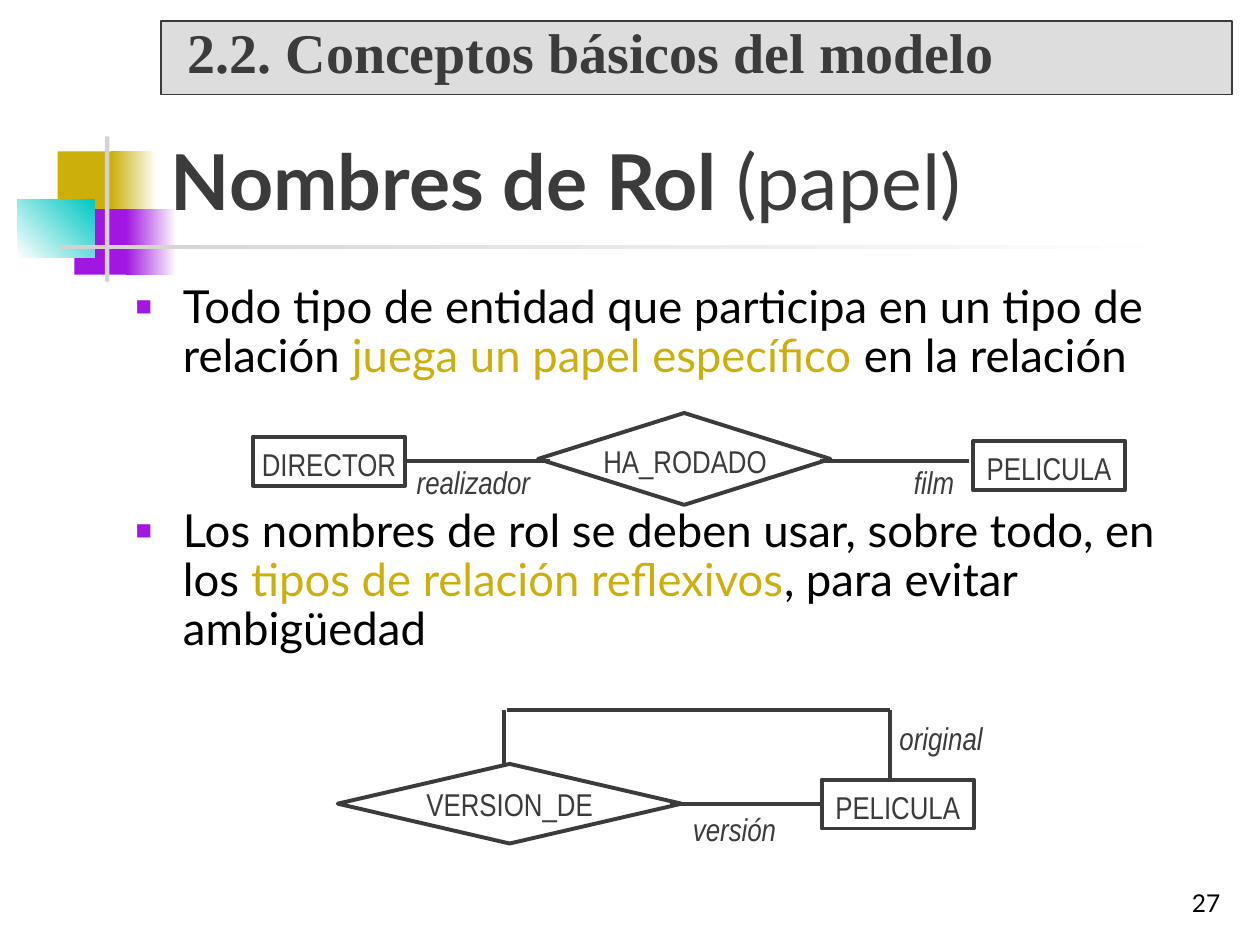
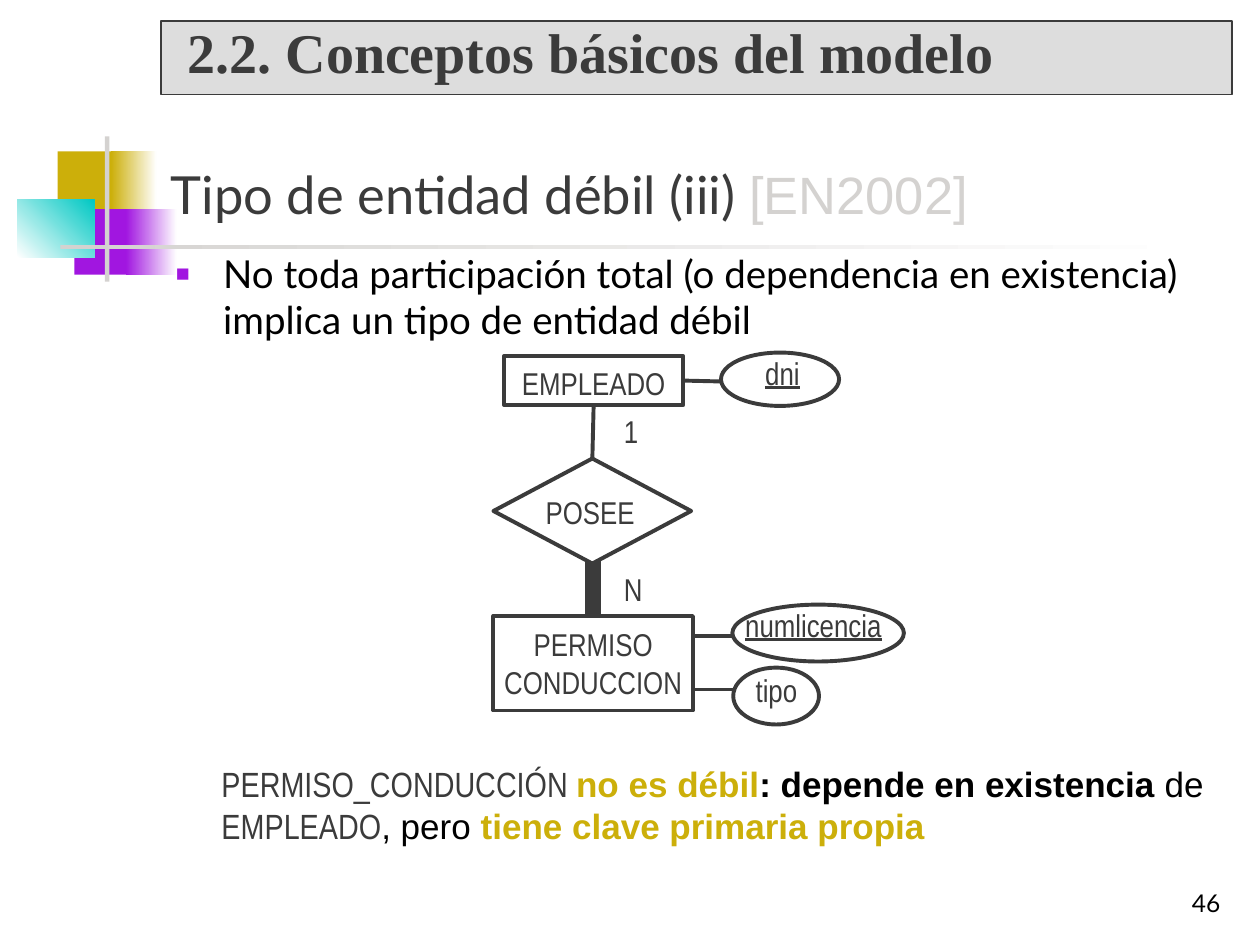
from lxml.etree import SubElement
from pptx import Presentation
from pptx.dml.color import RGBColor
from pptx.enum.shapes import MSO_CONNECTOR, MSO_SHAPE as Preset
from pptx.enum.text import MSO_ANCHOR as Anchor, MSO_AUTO_SIZE, PP_ALIGN as Align
from pptx.oxml.ns import qn
from pptx.util import Pt

COLORS = {
    "ink": "3B3B3B", "black": "000000", "white": "FFFFFF", "gold": "CCAF0A",
    "purple": "A116E0", "teal": "00C8C3", "rule": "D4D2D0", "band": "DDDDDD",
}
GOLD = {"color": "gold"}
BOLD = {"bold": True}
NARROW = {"font": "Arial Narrow", "size": 18, "color": "ink"}
BODY = {"font": "Lato", "color": "black"}
CLOSING = {"font": "Arial", "size": 20, "color": "black"}
ENTITY_NAME = {"font": "Arial Narrow", "color": "ink"}

SECTION = "2.2. Conceptos básicos del modelo"
ORNAMENT = [
    ((33, 86.5, 34.5, 37.5), ["gold"], 0),
    ((63.5, 86.5, 26, 37.5), ["gold", "white"], 0),
    ((42.5, 119.5, 33, 37.5), ["purple"], 0),
    ((72, 119.5, 29, 37.5), ["purple", "white"], 0),
    ((10, 114, 44, 33), ["white", "teal"], 45),
    ((60, 78, 2.5, 83), ["rule"], 0),
    ((34.5, 140, 648, 2.5), ["rule", "white"], 0),
]

LABEL_STYLES = {
    "role": {"insets": (0, 0, 0, 0), "wrap": True, "font": {"italic": True}},
    "low role": {"insets": (0, 3.6, 0, 0.7), "wrap": True, "font": {"italic": True}},
    "centred role": {"align": Align.CENTER, "spacing": 0.9, "font": {"italic": True}},
    "relation": {"align": Align.CENTER, "spacing": 0.9},
    "cardinality": {"insets": (0, 3.6, 0, 0.7), "wrap": True},
    "attribute": {"insets": (5.8, 0.7, 5.8, 0.7)},
    "key": {"insets": (5.8, 0.7, 5.8, 0.7), "font": {"underline": True}},
}

SLIDES = [
    {
        "number": "27",
        "title": [("Nombres de Rol", BOLD), (" (papel)", {})],
        "title_size": 44,
        "body_box": (70.5, 159, 634.5, 257),
        "body_size": 26,
        "body_spacing": 0.9,
        "bullets": [
            [("Todo tipo de entidad que participa en un tipo de relación ", {}),
             ("juega un papel específico", GOLD), (" en la relación", {})],
            [("Los nombres de rol se deben usar, sobre todo, en los ", {}),
             ("tipos de relación reflexivos", GOLD),
             (", para evitar ambigüedad", {})],
        ],
        "bullet_gap": 71.5,
        "nodes": {
            "director": (Preset.RECTANGLE, "DIRECTOR", (144.5, 249.5, 87, 28)),
            "film": (Preset.RECTANGLE, "PELICULA", (556, 252, 87, 28)),
            "directs": (Preset.DIAMOND, "", (307.5, 236, 167, 52.5)),
            "version of": (Preset.DIAMOND, "VERSION_DE", (193, 436.5, 196.5, 45.5)),
            "versioned film": (Preset.RECTANGLE, "PELICULA", (469.5, 445.5, 87, 28)),
        },
        "links": [
            ((231.5, 263.5), (314.5, 263.5), 2.25, ("director", 3), None),
            ((468.5, 263.5), (554, 263.5), 2.25, None, None),
            ((508.5, 405.5), (508.5, 447), 2.25, None, None),
            ((290, 405.5), (508.5, 405.5), 2.25, None, None),
            ((288, 405.5), (288, 437.5), 2.25, None, None),
            ((383, 459.5), (469.5, 459.5), 2.25, None, ("versioned film", 1)),
        ],
        "labels": [
            ("HA_RODADO", "relation", (337.5, 251.5, 108, 26.5)),
            ("realizador", "centred role", (231, 263.5, 79, 26.5)),
            ("film", "centred role", (515, 263.5, 37.5, 26.5)),
            ("original", "role", (514, 411, 116, 21.5)),
            ("versión", "low role", (396, 459.5, 55.5, 26)),
        ],
    },
    {
        "number": "46",
        "title": [("Tipo de entidad débil (iii) ", {}),
                  ("[EN2002]", {"font": "Arial", "color": "rule"})],
        "title_size": 30,
        "body_box": (93.5, 139.5, 612, 70),
        "body_size": 22,
        "body_spacing": 1.0,
        "bullets": [
            [("No toda participación total (o dependencia en existencia) "
              "implica un tipo de entidad débil", {})],
        ],
        "bullet_gap": 0,
        "nodes": {
            "employee": (Preset.RECTANGLE, "EMPLEADO", (288, 203.5, 102.5, 28)),
            "id": (Preset.OVAL, "", (412, 201.5, 67.5, 30.5)),
            "owns": (Preset.DIAMOND, "", (282, 262, 113, 60)),
            "permit": (Preset.RECTANGLE, "PERMISO\nCONDUCCION", (282, 352, 114, 54)),
            "licence number": (Preset.OVAL, "", (418.5, 345.5, 98, 32.5)),
            "kind": (Preset.OVAL, "", (419, 381.5, 49, 32.5)),
        },
        "links": [
            ((390.5, 218), (412, 218), 2.25, ("employee", 3), ("id", 2)),
            ((339, 231.5), (339, 262), 2.25, ("employee", 2), ("owns", 0)),
            ((339, 320.5), (339, 352), 9, None, ("permit", 0)),
            ((396, 363.5), (418.5, 363.5), 2.25, None, None),
            ((396, 394), (419, 394), 2.25, None, None),
        ],
        "labels": [
            ("dni", "key", (431.5, 201.5, 31, 23)),
            ("1", "cardinality", (356.5, 232, 11, 26)),
            ("POSEE", "attribute", (306, 281, 62, 23)),
            ("N", "cardinality", (356.5, 322, 11, 26)),
            ("numlicencia", "key", (420, 345.5, 89.5, 23)),
            ("tipo", "attribute", (426, 382.5, 35.5, 23)),
        ],
        "closing": [
            ("PERMISO_CONDUCCIÓN ", ENTITY_NAME),
            ("no es débil", GOLD | BOLD),
            (": depende en existencia", BOLD),
            (" de ", {}),
            ("EMPLEADO", ENTITY_NAME),
            (", pero ", {}),
            ("tiene clave primaria propia", GOLD | BOLD),
        ],
    },
]


def rgb(color):
    return RGBColor.from_string(COLORS[color])


def place(shape, box):
    shape.left, shape.top, shape.width, shape.height = map(Pt, box)


def set_frame(shape, insets=(7.2, 3.6, 7.2, 3.6), anchor=Anchor.TOP, wrap=True):
    frame = shape.text_frame
    frame.auto_size = MSO_AUTO_SIZE.NONE
    frame.word_wrap = wrap
    frame.vertical_anchor = anchor
    (frame.margin_left, frame.margin_top,
     frame.margin_right, frame.margin_bottom) = map(Pt, insets)
    return frame


def write(paragraph, runs, base, align=Align.LEFT, spacing=1.0):
    paragraph.alignment = align
    paragraph.line_spacing = spacing
    for text, changes in runs:
        style = base | changes
        for i, line in enumerate(text.split("\n")):
            if i:
                paragraph.add_line_break()
            run = paragraph.add_run()
            run.text = line
            run.font.name = style["font"]
            run.font.size = Pt(style["size"])
            run.font.color.rgb = rgb(style["color"])
            run.font.bold = style.get("bold", False)
            run.font.italic = style.get("italic", False)
            run.font.underline = style.get("underline", False)


def add_filled(slide, preset, box, fill, line_width=0):
    shape = slide.shapes.add_shape(preset, *map(Pt, box))
    shape.shadow.inherit = False
    shape.fill.solid()
    shape.fill.fore_color.rgb = rgb(fill)
    if line_width:
        shape.line.color.rgb = rgb("ink")
        shape.line.width = Pt(line_width)
    else:
        shape.line.fill.background()
    return shape


def add_text(slide, box, runs, base, align=Align.LEFT, spacing=1.0, **frame_options):
    textbox = slide.shapes.add_textbox(*map(Pt, box))
    frame = set_frame(textbox, **frame_options)
    write(frame.paragraphs[0], runs, base, align, spacing)
    return frame


def add_ornament(slide, layout):
    for position, (box, fills, angle) in enumerate(ORNAMENT, start=2):
        block = add_filled(slide, Preset.RECTANGLE, box, fills[0])
        if len(fills) == 2:
            block.fill.gradient()
            block.fill.gradient_angle = angle
            for stop, color in zip(block.fill.gradient_stops, fills):
                stop.color.rgb = rgb(color)
        layout.shapes.element.insert(position, block.element)


def add_bullet(paragraph):
    props = paragraph._p.get_or_add_pPr()
    props.set("marL", str(Pt(27)))
    props.set("indent", str(-Pt(27)))
    SubElement(SubElement(props, qn("a:buClr")), qn("a:srgbClr"), val=COLORS["purple"])
    SubElement(props, qn("a:buSzPct"), val="60000")
    SubElement(props, qn("a:buFont"), typeface="Arial")
    SubElement(props, qn("a:buChar"), char="■")


def add_body(slide, content):
    base = BODY | {"size": content["body_size"]}
    frame = add_text(slide, content["body_box"], [], base)
    for i, runs in enumerate(content["bullets"]):
        paragraph = frame.add_paragraph() if i else frame.paragraphs[0]
        add_bullet(paragraph)
        if i:
            paragraph.space_before = Pt(content["bullet_gap"])
        write(paragraph, runs, base, spacing=content["body_spacing"])


def add_diagram(slide, content):
    nodes = {}
    for name, (preset, text, box) in content["nodes"].items():
        nodes[name] = add_filled(slide, preset, box, "white", 2.25)
        if text:
            flat = preset == Preset.DIAMOND or "\n" in text
            insets = (0, 0, 0, 0) if flat else (0, 3.6, 0, 0.7)
            frame = set_frame(nodes[name], insets, Anchor.MIDDLE, wrap=False)
            write(frame.paragraphs[0], [(text, {})], NARROW, Align.CENTER)
    for start, end, width, begin_at, end_at in content["links"]:
        link = slide.shapes.add_connector(MSO_CONNECTOR.STRAIGHT, *map(Pt, start + end))
        link.line.color.rgb = rgb("ink")
        link.line.width = Pt(width)
        SubElement(link.element.spPr, qn("a:effectLst"))
        if begin_at:
            link.begin_connect(nodes[begin_at[0]], begin_at[1])
        if end_at:
            site = end_at[1]
            link.end_connect(nodes[end_at[0]], site)
            if end_at[0] == "id":
                link.end_x, link.end_y = map(Pt, end)
    for text, style_name, box in content["labels"]:
        style = {"wrap": False} | LABEL_STYLES[style_name]
        base = NARROW | style.pop("font", {})
        add_text(slide, box, [(text, {})], base, **style)


def add_slide(prs, layout, content):
    slide = prs.slides.add_slide(layout)
    title = slide.shapes.title
    place(title, (90.5, 78.5, 613.5, 54))
    write(set_frame(title, anchor=Anchor.BOTTOM).paragraphs[0], content["title"],
          {"font": "Lato", "size": content["title_size"], "color": "ink"})
    add_body(slide, content)
    add_diagram(slide, content)
    if "closing" in content:
        add_text(slide, (119.5, 432, 584.5, 60), content["closing"], CLOSING)
    add_text(slide, (554.5, 492, 150, 36), [(content["number"], {})],
             BODY | {"size": 14}, Align.RIGHT, anchor=Anchor.BOTTOM)
    band = add_filled(slide, Preset.RECTANGLE, (92, 12, 612, 42), "band", 0.75)
    frame = set_frame(band, (15.2, 3.6, 7.2, 3.6), Anchor.MIDDLE)
    write(frame.paragraphs[0], [(SECTION, BOLD)],
          {"font": "Times New Roman", "size": 32, "color": "ink"}, spacing=0.8)
    return slide


def main():
    prs = Presentation()
    prs.slide_width, prs.slide_height = Pt(720), Pt(540)
    layout = prs.slide_layouts[5]
    slides = [add_slide(prs, layout, content) for content in SLIDES]
    add_ornament(slides[0], layout)
    prs.save("out.pptx")


if __name__ == "__main__":
    main()
